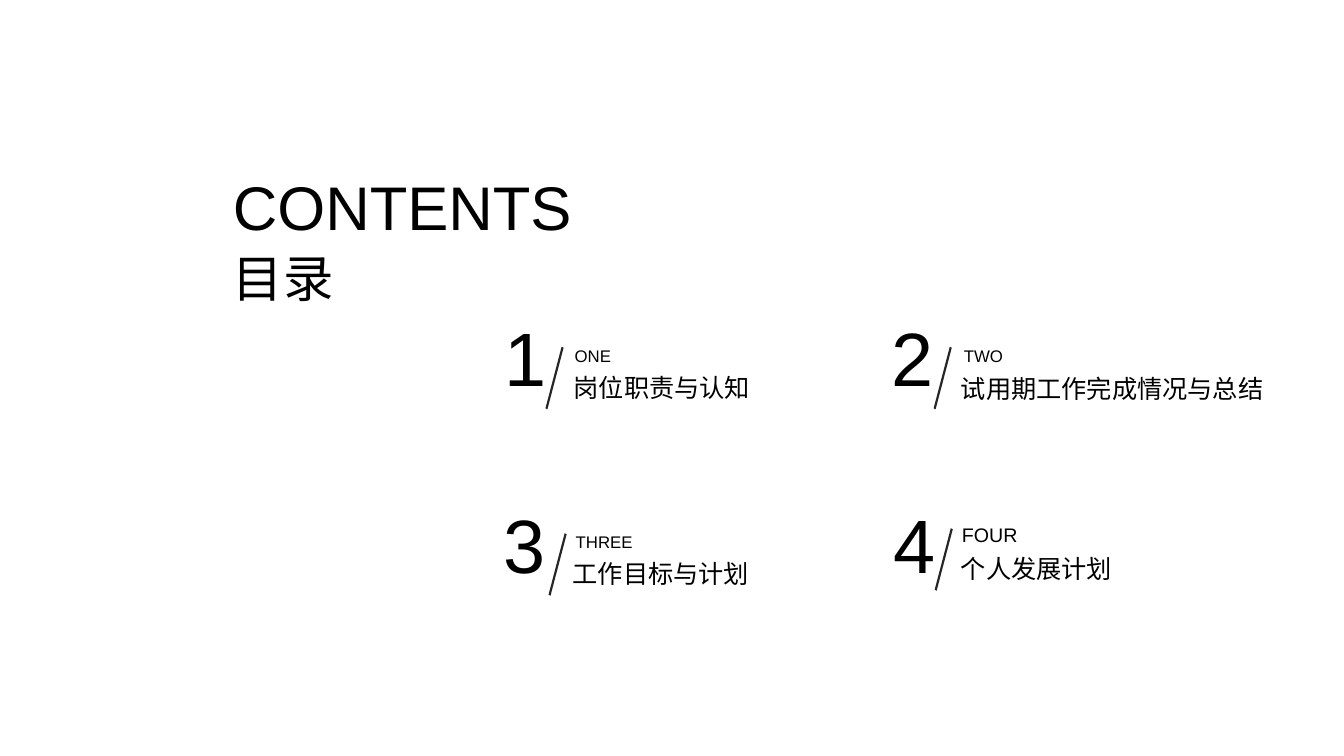
from pptx import Presentation
from pptx.dml.color import RGBColor
from pptx.enum import text
from pptx.oxml import parse_xml
from pptx.oxml.ns import nsdecls
from pptx.util import Inches, Pt

LATIN, CHINESE = "Arial", "Noto Sans CJK SC"
BLACK, SLASH_GREY = "000000", "262626"
TOP, BOTTOM = text.MSO_ANCHOR.TOP, text.MSO_ANCHOR.BOTTOM
LEFT, RIGHT = text.PP_ALIGN.LEFT, text.PP_ALIGN.RIGHT

# Outline of a slash, relative to its top left corner
SLASH = [(0.16, 0), (0.18, 0.01), (0.02, 0.62), (0, 0.61)]

# Number, English label, topic; positions of number, slash, label and topic;
# label size and topic box size
ENTRIES = [
    ("1", "ONE", "岗位职责与认知",
     (4.91, 3.05), (5.41, 3.44), (5.7, 3.35), (5.69, 3.65), 12, (2.19, 0.35)),
    ("2", "TWO", "试用期工作完成情况与总结",
     (8.75, 3.05), (9.26, 3.44), (9.56, 3.35), (9.53, 3.66), 12, (3.01, 0.61)),
    ("3", "THREE", "工作目标与计划",
     (4.9, 4.9), (5.44, 5.29), (5.71, 5.2), (5.68, 5.5), 12, (1.94, 0.35)),
    ("4", "FOUR", "个人发展计划",
     (8.77, 4.9), (9.27, 5.24), (9.54, 5.15), (9.53, 5.45), 14, (1.93, 0.4)),
]


def rgb(value):
    return RGBColor.from_string(value)


def write(shape, words, size, font=LATIN, color=BLACK, align=LEFT,
          anchor=TOP, spacing=1.04):
    frame = shape.text_frame
    frame.word_wrap = True
    frame.auto_size = text.MSO_AUTO_SIZE.NONE
    frame.vertical_anchor = anchor
    frame.margin_left = frame.margin_right = 0
    frame.margin_top = frame.margin_bottom = 0
    line = frame.paragraphs[0]
    line.alignment = align
    line.line_spacing = spacing
    run = line.add_run()
    run.text = words
    run.font.size = Pt(size)
    run.font.color.rgb = rgb(color)
    run.font.name = font
    # East Asian typeface
    run.font._element.append(
        parse_xml(f'<a:ea {nsdecls("a")} typeface="{font}"/>'))


def add_text(slide, words, position, extent, size, **style):
    box = slide.shapes.add_textbox(*map(Inches, position + extent))
    write(box, words, size, **style)


def add_slash(slide, position):
    left, top = position
    corners = [(Inches(left + x), Inches(top + y)) for x, y in SLASH]
    builder = slide.shapes.build_freeform(*corners[0])
    builder.add_line_segments(corners[1:], close=True)
    slash = builder.convert_to_shape()
    slash.shadow.inherit = False
    slash.fill.solid()
    slash.fill.fore_color.rgb = rgb(SLASH_GREY)
    slash.line.fill.background()


def add_entry(slide, number, label, topic, number_at, slash_at, label_at,
              topic_at, label_size, topic_extent):
    add_text(slide, number, number_at, (0.51, 1.02), 54, align=RIGHT)
    add_slash(slide, slash_at)
    add_text(slide, label, label_at, (1.46, 0.28), label_size,
             anchor=BOTTOM, spacing=0.94)
    add_text(slide, topic, topic_at, topic_extent, 18,
             font=CHINESE, spacing=1.14)


def main():
    deck = Presentation()
    deck.slide_width, deck.slide_height = Inches(13.33), Inches(7.5)
    slide = deck.slides.add_slide(deck.slide_layouts[5])

    # Heading in both languages
    heading = slide.shapes.title
    heading.left, heading.top = Inches(2.31), Inches(1.58)
    heading.width, heading.height = Inches(3.86), Inches(0.83)
    write(heading, "CONTENTS", 44, anchor=BOTTOM)
    add_text(slide, "目录", (2.31, 2.43), (1.16, 0.68), 36, font=CHINESE)

    # Numbered entries
    for entry in ENTRIES:
        add_entry(slide, *entry)

    deck.save("out.pptx")


if __name__ == "__main__":
    main()
